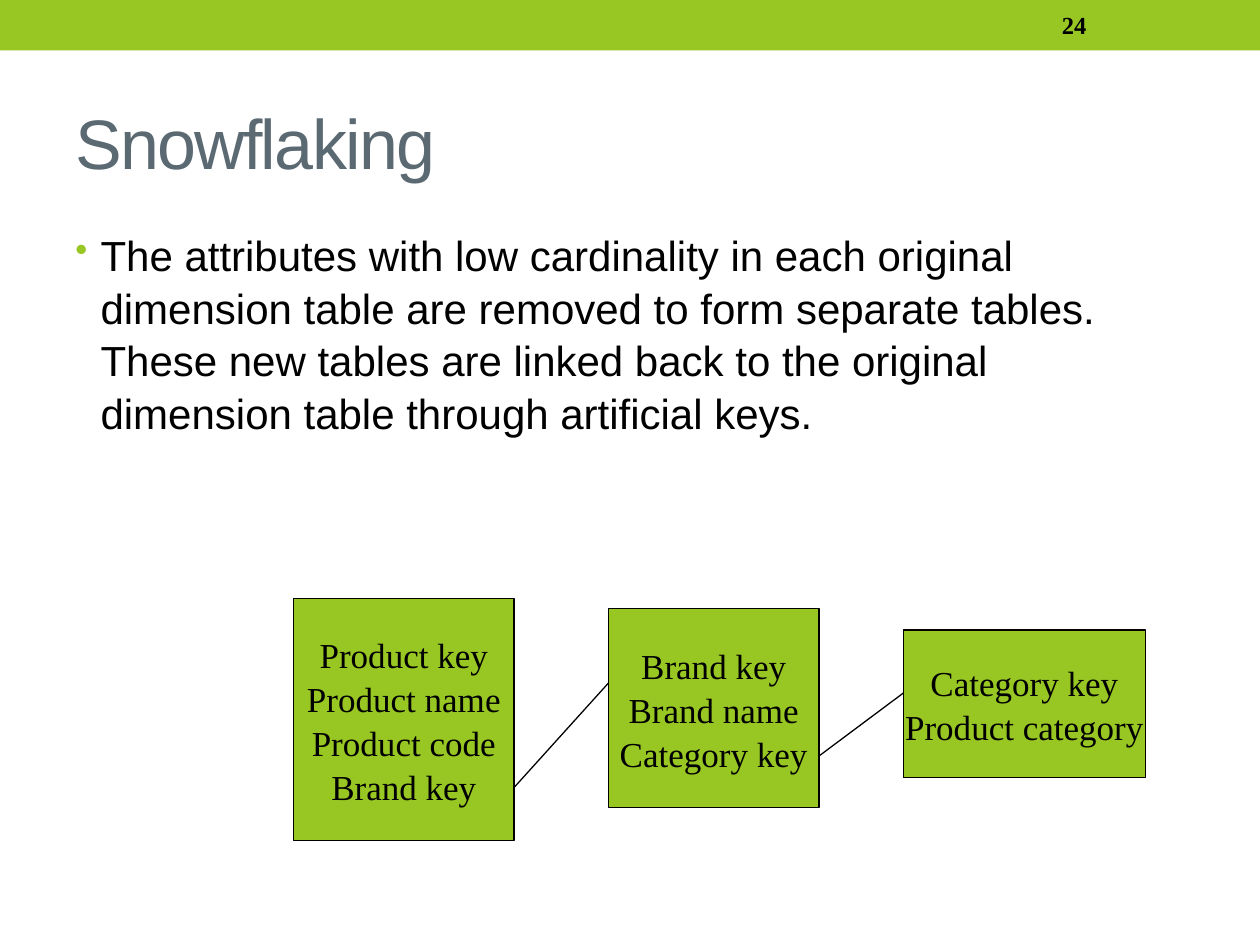
from lxml import etree
from pptx import Presentation
from pptx.dml.color import RGBColor
from pptx.enum.shapes import MSO_CONNECTOR, MSO_SHAPE
from pptx.enum.text import MSO_ANCHOR, PP_ALIGN
from pptx.oxml.ns import qn
from pptx.util import Inches, Pt

RECTANGLE = MSO_SHAPE.RECTANGLE
STRAIGHT = MSO_CONNECTOR.STRAIGHT
TOP, MIDDLE = MSO_ANCHOR.TOP, MSO_ANCHOR.MIDDLE
LEFT, CENTER = PP_ALIGN.LEFT, PP_ALIGN.CENTER

GREEN, SLATE, BLACK = "98C723", "5B6973", "000000"
SANS, SERIF = "Arial", "Times New Roman"

# Each table: left, top, width, height, attributes
TABLES = [
    (2.33, 4.75, 1.75, 1.92,
     ["Product key", "Product name", "Product code", "Brand key"]),
    (4.83, 4.83, 1.67, 1.58, ["Brand key", "Brand name", "Category key"]),
    (7.17, 5, 1.92, 1.17, ["Category key", "Product category"]),
]
# Heights at which each link leaves one table and reaches the next
LINK_HEIGHTS = [(6.25, 5.42), (6, 5.5)]


def color(hex_string):
    return RGBColor.from_string(hex_string)


def add_bullet(paragraph, char="•", hex_color=GREEN, percent=85, indent=0.2):
    props = paragraph._p.get_or_add_pPr()
    props.set("marL", str(Inches(indent)))
    props.set("indent", str(-Inches(indent)))
    bullet_color = etree.SubElement(props, qn("a:buClr"))
    etree.SubElement(bullet_color, qn("a:srgbClr"), val=hex_color)
    etree.SubElement(props, qn("a:buSzPct"), val=str(percent * 1000))
    etree.SubElement(props, qn("a:buChar"), char=char)


def write_text(shape, lines, *, size, font=SANS, hex_color=BLACK, bold=False,
               align=LEFT, anchor=MIDDLE, wrap=True, tracking=None,
               line_spacing=None, bullet=False):
    frame = shape.text_frame
    frame.word_wrap = wrap
    frame.vertical_anchor = anchor
    for index, line in enumerate(lines):
        paragraph = frame.add_paragraph() if index else frame.paragraphs[0]
        paragraph.alignment = align
        if line_spacing:
            paragraph.line_spacing = line_spacing
        if bullet:
            add_bullet(paragraph)
        run = paragraph.add_run()
        run.text = line
        run.font.name = font
        run.font.size = Pt(size)
        run.font.bold = bold
        run.font.color.rgb = color(hex_color)
        if tracking is not None:
            run._r.get_or_add_rPr().set("spc", str(tracking * 100))


def add_text(slide, left, top, width, height, lines, **text_format):
    box = slide.shapes.add_textbox(
        Inches(left), Inches(top), Inches(width), Inches(height))
    write_text(box, lines, **text_format)


def add_rectangle(slide, left, top, width, height, outline=None):
    rectangle = slide.shapes.add_shape(
        RECTANGLE, Inches(left), Inches(top), Inches(width), Inches(height))
    rectangle.shadow.inherit = False
    rectangle.fill.solid()
    rectangle.fill.fore_color.rgb = color(GREEN)
    if outline:
        rectangle.line.color.rgb = color(outline)
        rectangle.line.width = Pt(0.75)
    else:
        rectangle.line.fill.background()
    return rectangle


def add_link(slide, x1, y1, x2, y2):
    link = slide.shapes.add_connector(
        STRAIGHT, Inches(x1), Inches(y1), Inches(x2), Inches(y2))
    link.line.color.rgb = color(BLACK)
    link.line.width = Pt(0.75)
    etree.SubElement(link._element.spPr, qn("a:effectLst"))


def main():
    deck = Presentation()
    deck.slide_width, deck.slide_height = Inches(10), Inches(7.5)
    slide = deck.slides.add_slide(deck.slide_layouts[6])

    # Top band with the page number
    add_rectangle(slide, 0, 0, 10, 0.4)
    add_text(slide, 8.33, 0.02, 1.17, 0.36, ["24"],
             size=14, font=SERIF, bold=True)

    # Title and explanation
    add_text(slide, 0.5, 0.58, 9, 1.08, ["Snowflaking"],
             size=40, hex_color=SLATE, tracking=-1)
    add_text(slide, 0.5, 1.75, 9, 5.33,
             ["The attributes with low cardinality in each original dimension "
              "table are removed to form separate tables. These new tables "
              "are linked back to the original dimension table through "
              "artificial keys."],
             size=24, anchor=TOP, line_spacing=1.05, bullet=True)

    # Dimension tables
    for left, top, width, height, attributes in TABLES:
        table_box = add_rectangle(slide, left, top, width, height, BLACK)
        write_text(table_box, attributes, size=20, font=SERIF, align=CENTER,
                   wrap=False, line_spacing=1.05)

    # Links from each table's right edge to the next table's left edge
    for source, target, (y1, y2) in zip(TABLES, TABLES[1:], LINK_HEIGHTS):
        add_link(slide, source[0] + source[2], y1, target[0], y2)

    deck.save("out.pptx")


if __name__ == "__main__":
    main()
